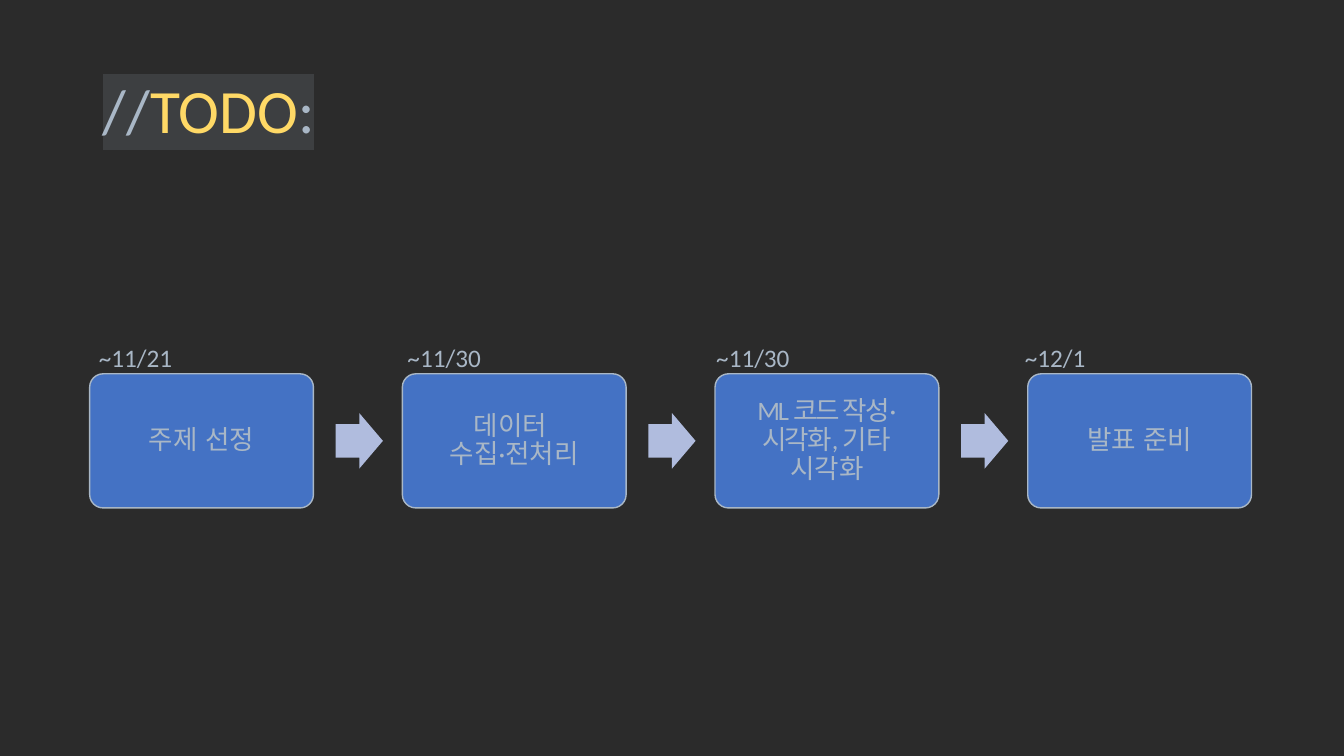
"""Build the dark TODO slide with its four-step project schedule."""
from dataclasses import dataclass

from lxml.etree import SubElement
from pptx import Presentation
from pptx.dml.color import RGBColor
from pptx.enum.lang import MSO_LANGUAGE_ID
from pptx.enum.shapes import MSO_SHAPE
from pptx.enum.text import MSO_ANCHOR, MSO_AUTO_SIZE, PP_ALIGN
from pptx.oxml.ns import qn
from pptx.util import Cm, Pt


@dataclass(frozen=True)
class Theme:
    background: str = "2B2B2B"
    text: str = "A9B7C6"
    keyword: str = "FFD966"
    highlight: str = "3D3F41"
    step: str = "4472C4"
    arrow: str = "B0BCDE"
    font: str = "Calibri"
    title_size: int = 44
    step_size: int = 19
    date_size: int = 18


THEME = Theme()
HEADING = [("//", THEME.text), ("TODO", THEME.keyword), (":", THEME.text)]
SCHEDULE = [
    ("~11/21", [[("주제 선정", 0)]]),
    ("~11/30", [[("데이터 ", 0)], [("수집·전처리", 0)]]),
    ("~11/30", [[("ML 코드 작성·시각화, ", -1.5), ("기타 시각화", 0)]]),
    ("~12/1", [[("발표 준비", 0)]]),
]

STEP_LEFT, STEP_TOP, STEP_WIDTH, STEP_HEIGHT = 2.26, 9.42, 5.64, 3.38
STEP_PITCH = 7.88
ARROW_WIDTH, ARROW_HEIGHT, ARROW_GAP = 1.19, 1.4, 0.56
DATE_LEFT, DATE_TOP, DATE_WIDTH, DATE_HEIGHT = 2.24, 8.5, 2.39, 1.02
DATE_PITCH = 7.78

STEP_FRAME = {
    "word_wrap": True,
    "vertical_anchor": MSO_ANCHOR.MIDDLE,
    "margin_left": Cm(0.2),
    "margin_right": Cm(0.2),
    "margin_top": Cm(0.2),
    "margin_bottom": Cm(0.2),
}
DATE_FRAME = {"word_wrap": False, "auto_size": MSO_AUTO_SIZE.SHAPE_TO_FIT_TEXT}
STEP_PARAGRAPH = {"alignment": PP_ALIGN.CENTER, "line_spacing": 0.9}
TITLE_PARAGRAPH = {"alignment": PP_ALIGN.LEFT, "line_spacing": 0.9}


def apply(target, formats):
    for name, value in formats.items():
        setattr(target, name, value)


def add_words(paragraph, words, size, color=THEME.text):
    run = paragraph.add_run()
    run.text = words
    apply(run.font, {"name": THEME.font, "size": Pt(size),
                     "language_id": MSO_LANGUAGE_ID.KOREAN})
    run.font.color.rgb = RGBColor.from_string(color)
    return run.font._element


def add_block(slide, preset, box, color, adjustments):
    block = slide.shapes.add_shape(preset, *map(Cm, box))
    block.shadow.inherit = False
    block.fill.solid()
    block.fill.fore_color.rgb = RGBColor.from_string(color)
    block.line.fill.background()
    for position, value in enumerate(adjustments):
        block.adjustments[position] = value
    return block


def add_title(slide):
    title = slide.shapes.title
    apply(title, {"left": Cm(2.33), "top": Cm(1.01),
                  "width": Cm(29.21), "height": Cm(3.68)})
    title.text_frame.vertical_anchor = MSO_ANCHOR.MIDDLE
    heading = title.text_frame.paragraphs[0]
    apply(heading, TITLE_PARAGRAPH)
    for words, color in HEADING:
        properties = add_words(heading, words, THEME.title_size, color)
        highlight = SubElement(properties, qn("a:highlight"))
        SubElement(highlight, qn("a:srgbClr"), val=THEME.highlight)
        properties.find(qn("a:solidFill")).addnext(highlight)


def add_step(slide, index, lines):
    left = STEP_LEFT + index * STEP_PITCH
    step = add_block(slide, MSO_SHAPE.ROUNDED_RECTANGLE,
                     (left, STEP_TOP, STEP_WIDTH, STEP_HEIGHT), THEME.step, [0.1])
    step.line.color.rgb = RGBColor.from_string(THEME.text)
    step.line.width = Pt(1)
    apply(step.text_frame, STEP_FRAME)
    label = step.text_frame.paragraphs[0]
    apply(label, STEP_PARAGRAPH)
    for row, line in enumerate(lines):
        if row:
            label.add_line_break()
        for words, spacing in line:
            properties = add_words(label, words, THEME.step_size)
            if spacing:
                properties.set("spc", str(int(spacing * 100)))


def add_arrow(slide, index):
    left = STEP_LEFT + index * STEP_PITCH + STEP_WIDTH + ARROW_GAP
    top = STEP_TOP + (STEP_HEIGHT - ARROW_HEIGHT) / 2
    add_block(slide, MSO_SHAPE.RIGHT_ARROW,
              (left, top, ARROW_WIDTH, ARROW_HEIGHT), THEME.arrow, [0.6, 0.5])


def add_date(slide, index, date):
    box = (DATE_LEFT + index * DATE_PITCH, DATE_TOP, DATE_WIDTH, DATE_HEIGHT)
    deadline = slide.shapes.add_textbox(*map(Cm, box))
    apply(deadline.text_frame, DATE_FRAME)
    label = deadline.text_frame.paragraphs[0]
    label.alignment = PP_ALIGN.LEFT
    add_words(label, date, THEME.date_size)


def main():
    deck = Presentation()
    apply(deck, {"slide_width": Cm(33.87), "slide_height": Cm(19.05)})
    slide = deck.slides.add_slide(deck.slide_layouts[5])
    slide.background.fill.solid()
    slide.background.fill.fore_color.rgb = RGBColor.from_string(THEME.background)
    add_title(slide)
    for index, (date, lines) in enumerate(SCHEDULE):
        add_step(slide, index, lines)
        if index < len(SCHEDULE) - 1:
            add_arrow(slide, index)
        add_date(slide, index, date)
    deck.save("out.pptx")


if __name__ == "__main__":
    main()
